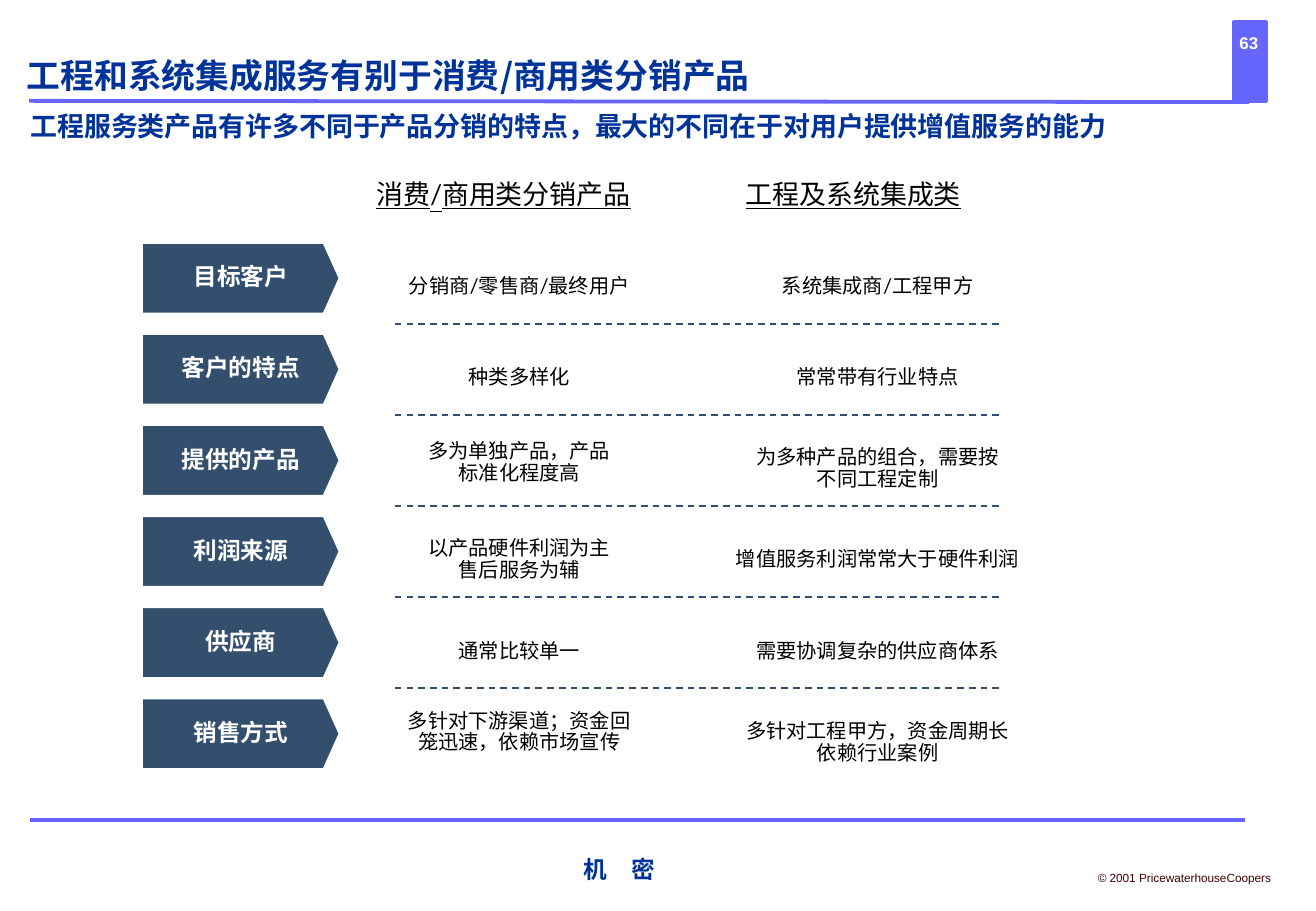
from lxml import etree
from pptx import Presentation
from pptx.dml.color import RGBColor
from pptx.enum.dml import MSO_LINE
from pptx.enum.shapes import MSO_CONNECTOR, MSO_SHAPE
from pptx.enum.text import MSO_ANCHOR, MSO_AUTO_SIZE, PP_ALIGN
from pptx.oxml.ns import qn
from pptx.util import Pt

LEFT, CENTER = PP_ALIGN.LEFT, PP_ALIGN.CENTER
MIDDLE, BOTTOM = MSO_ANCHOR.MIDDLE, MSO_ANCHOR.BOTTOM
STRAIGHT, RECT, DASH = MSO_CONNECTOR.STRAIGHT, MSO_SHAPE.RECTANGLE, MSO_LINE.DASH
FIXED = MSO_AUTO_SIZE.NONE

VIOLET = RGBColor(0x66, 0x66, 0xFF)
BLUE = RGBColor(0x00, 0x33, 0x99)
SLATE = RGBColor(0x33, 0x4F, 0x6D)
MAROON = RGBColor(0x44, 0x00, 0x00)
BLACK = RGBColor(0, 0, 0)
WHITE = RGBColor(0xFF, 0xFF, 0xFF)

HAN, LATO, ARIAL = "Noto Sans CJK SC", "Lato", "Arial"
ROW_TOP, ROW_STEP, BOX_H = 144, 54, 40.3
MID_ONE, MID_TWO, CELL_W = 307.8, 520.2, 248.4

HEADS = [("消费/商用类分销产品", 298.4), ("工程及系统集成类", 505.8)]
ROWS = [
    ("目标客户", "分销商/零售商/最终用户", "系统集成商/工程甲方"),
    ("客户的特点", "种类多样化", "常常带有行业特点"),
    ("提供的产品", "多为单独产品，产品标准化程度高", "为多种产品的组合，需要按\n不同工程定制"),
    ("利润来源", "以产品硬件利润为主\n售后服务为辅", "增值服务利润常常大于硬件利润"),
    ("供应商", "通常比较单一", "需要协调复杂的供应商体系"),
    ("销售方式", "多针对下游渠道；资金回笼迅速，依赖市场宣传",
     "多针对工程甲方，资金周期长\n依赖行业案例"),
]
WRAPS = {2: (128.9, 2.2), 5: (156.2, 0)}


class Page:
    def __init__(self):
        self.deck = Presentation()
        self.deck.slide_width, self.deck.slide_height = Pt(780), Pt(540)
        self.slide = self.deck.slides.add_slide(self.deck.slide_layouts[5])
        self.shapes = self.slide.shapes

    def put(self, shape, text, size, color, face=LATO, bold=False, line=False,
            align=CENTER, anchor=MIDDLE, inset=True, wrap=False, lead=0.9):
        frame = shape.text_frame
        frame.auto_size = FIXED
        frame.word_wrap = wrap
        frame.vertical_anchor = anchor
        frame.margin_left = frame.margin_right = Pt(7.2 if inset else 0)
        frame.margin_top = frame.margin_bottom = Pt(3.6 if inset else 0)
        frame.text = text
        for para in frame.paragraphs:
            para.alignment = align
            para.line_spacing = lead
            para.space_before = Pt(0)
            font = para.font
            font.name, font.size, font.bold = face, Pt(size), bold
            font.underline = line
            font.color.rgb = color
            style = para._p.pPr.find(qn("a:defRPr"))
            etree.SubElement(style, qn("a:ea")).set("typeface", HAN)

    def text(self, x, y, w, h, words, size, color, **style):
        box = self.shapes.add_textbox(Pt(x), Pt(y), Pt(w), Pt(h))
        self.put(box, words, size, color, **style)

    def title(self, x, y, w, h, words, size, color, **style):
        box = self.shapes.title
        box.left, box.top, box.width, box.height = Pt(x), Pt(y), Pt(w), Pt(h)
        self.put(box, words, size, color, **style)

    def paint(self, shape, fill, edge, width):
        shape.shadow.inherit = False
        shape.fill.solid()
        shape.fill.fore_color.rgb = fill
        shape.line.color.rgb = edge
        shape.line.width = Pt(width)

    def block(self, x, y, w, h, color):
        shape = self.shapes.add_shape(RECT, Pt(x), Pt(y), Pt(w), Pt(h))
        self.paint(shape, color, color, 2.25)

    def label(self, x, y, w, h, tip, words):
        pen = self.shapes.build_freeform(Pt(x), Pt(y))
        spots = [(x + w - tip, y), (x + w, y + h / 2), (x + w - tip, y + h), (x, y + h)]
        pen.add_line_segments([(Pt(a), Pt(b)) for a, b in spots], close=True)
        shape = pen.convert_to_shape()
        self.paint(shape, SLATE, WHITE, 1)
        self.put(shape, words, 14, WHITE, bold=True)

    def rule(self, x, y, end, drop, color, width, dash=None):
        line = self.shapes.add_connector(STRAIGHT, Pt(x), Pt(y), Pt(end), Pt(y + drop))
        line.line.color.rgb = color
        line.line.width = Pt(width)
        if dash:
            line.line.dash_style = dash
        etree.SubElement(line._element.spPr, qn("a:effectLst"))


def main():
    page = Page()
    page.block(731.5, 13, 18.7, 46.8, VIOLET)
    page.rule(17.3, 59.8, 740.2, 0.7, VIOLET, 2.25)
    page.text(715, 18, 50.4, 14.4, "63", 10, WHITE, face=ARIAL, bold=True,
              inset=False, lead=1)
    page.text(643.7, 512.6, 116.6, 15.8, "© 2001 PricewaterhouseCoopers", 7, MAROON,
              face=ARIAL, lead=1)
    page.text(341.3, 502.8, 51.8, 24.5, "机　密", 14, BLUE, face=ARIAL, bold=True, lead=1)
    page.rule(18, 486, 738, 0, VIOLET, 2.25)

    head = dict(face=HAN, bold=True, align=LEFT, anchor=BOTTOM, inset=False,
                wrap=True, lead=1)
    page.title(18, 54, 738.7, 30.2,
               "工程服务类产品有许多不同于产品分销的特点，最大的不同在于对用户提供增值服务的能力",
               16, BLUE, **head)
    page.text(15.8, 13, 699, 43.2, "工程和系统集成服务有别于消费/商用类分销产品",
              20, BLUE, **head)

    for words, mid in HEADS:
        page.text(mid - CELL_W / 2, 95.8, CELL_W, BOX_H, words, 16, BLACK, line=True)

    for row, (name, one, two) in enumerate(ROWS):
        top = ROW_TOP + row * ROW_STEP
        page.label(84.2, top, 117, 41.8, 9.4, name)
        wide, drop = WRAPS.get(row, (CELL_W, 6))
        page.text(MID_ONE - wide / 2, top + drop, wide, BOX_H, one, 12, BLACK,
                  wrap=row in WRAPS)
        page.text(MID_TWO - CELL_W / 2, top + 6, CELL_W, BOX_H, two, 12, BLACK)
        if row < len(ROWS) - 1:
            page.rule(234, top + 48, 594, 0, SLATE, 1, DASH)

    page.deck.save("out.pptx")


if __name__ == "__main__":
    main()
